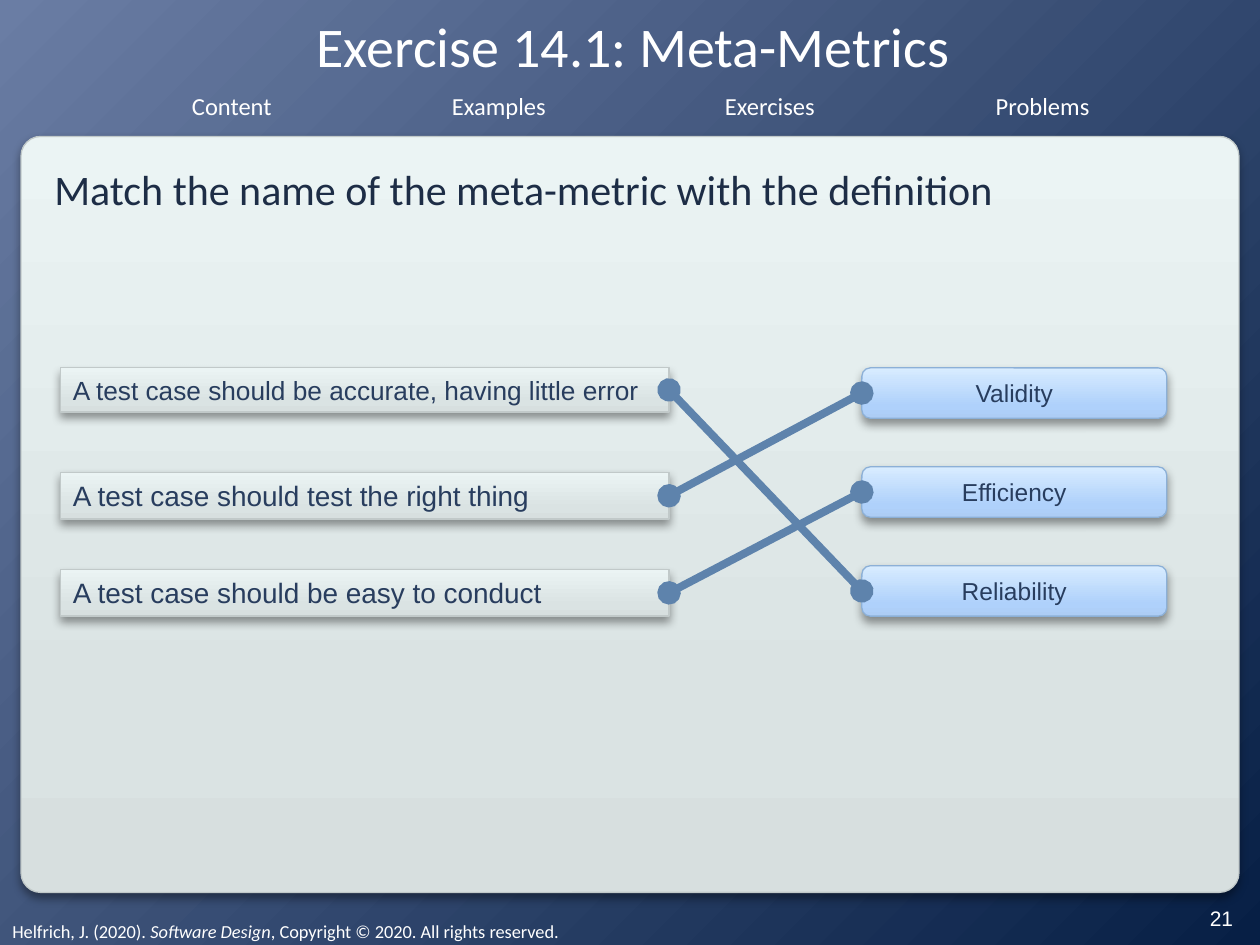
from dataclasses import dataclass
from typing import Any

from pptx import Presentation
from pptx.dml.color import RGBColor as Rgb
from pptx.enum.shapes import MSO_CONNECTOR as Link, MSO_SHAPE as Form
from pptx.enum.text import MSO_ANCHOR as Anchor, PP_ALIGN as Align
from pptx.oxml import parse_xml
from pptx.oxml.ns import nsdecls, qn
from pptx.util import Inches, Pt

Stops = tuple[tuple[int, str], ...]


@dataclass(frozen=True)
class Font:
    face: str
    size: float
    color: str


@dataclass(frozen=True)
class Skin:
    stops: Stops
    edge: str


@dataclass(frozen=True)
class Theme:
    back: Stops = ((0, "6A7DA4"), (100, "071F45"))
    gray: Skin = Skin(((0, "D7DFDF"), (25, "DAE3E3"), (100, "EBF4F4")), "C1C9C9")
    blue: Skin = Skin(((0, "ADCDF5"), (25, "AFD1FB"), (100, "D8ECFF")), "8CB0D7")
    link: str = "5E83AC"
    title: Font = Font("Calibri", 32, "FFFFFF")
    body: Font = Font("Calibri", 24, "1D2D46")
    menu: Font = Font("Calibri", 14, "FFFFFF")
    foot: Font = Font("Calibri", 10.5, "FFFFFF")
    page: Font = Font("Arial", 12, "FFFFFF")
    small: Font = Font("Arial", 15, "283D5E")
    large: Font = Font("Arial", 16, "283D5E")
    name: Font = Font("Arial", 14, "283D5E")


@dataclass(frozen=True)
class Box:
    left: float
    top: float
    width: float
    height: float


@dataclass(frozen=True)
class Tab:
    text: str
    mid: float
    width: float


@dataclass(frozen=True)
class Clue:
    text: str
    top: float
    height: float
    font: Font
    match: str


theme = Theme()
tabs = (
    Tab("Content", 18.4, 8.4),
    Tab("Examples", 39.6, 9.6),
    Tab("Exercises", 61.1, 9.2),
    Tab("Problems", 82.75, 9.5),
)
names = ("Validity", "Efficiency", "Reliability")
clues = (
    Clue("A test case should be accurate, having little error", 38.93, 4.67, theme.small, "Reliability"),
    Clue("A test case should test the right thing", 50, 4.93, theme.large, "Validity"),
    Clue("A test case should be easy to conduct", 60.27, 4.93, theme.large, "Efficiency"),
)
name_top, name_step = 38.93, 10.47

deck = Presentation()
deck.slide_width, deck.slide_height = Inches(10), Inches(7.5)
slide = deck.slides.add_slide(deck.slide_layouts[6])
shapes = slide.shapes


def place(box: Box) -> tuple[int, int, int, int]:
    wide, high = deck.slide_width / 100, deck.slide_height / 100
    return (round(box.left * wide), round(box.top * high),
            round(box.width * wide), round(box.height * high))


def blend(root: Any, stops: Stops, flow: str) -> None:
    marks = "".join(
        f'<a:gs pos="{pos * 1000}"><a:srgbClr val="{color}"/></a:gs>' for pos, color in stops)
    old = root.find(".//" + qn("a:gradFill"))
    new = parse_xml(f'<a:gradFill {nsdecls("a")} rotWithShape="1">'
                    f'<a:gsLst>{marks}</a:gsLst>{flow}</a:gradFill>')
    old.getparent().replace(old, new)


def write(shape: Any, parts: tuple[str, ...], font: Font, align: Align = Align.LEFT,
          anchor: Anchor = Anchor.TOP, inset: bool = True) -> None:
    frame = shape.text_frame
    frame.word_wrap = True
    frame.vertical_anchor = anchor
    frame.margin_left = frame.margin_right = Inches(0.1 if inset else 0)
    frame.margin_top = frame.margin_bottom = Inches(0.05 if inset else 0)
    line = frame.paragraphs[0]
    line.alignment = align
    line.font.name, line.font.size = font.face, Pt(font.size)
    line.font.color.rgb = Rgb.from_string(font.color)
    for spot, part in enumerate(parts):
        run = line.add_run()
        run.text = part
        if spot % 2:
            run.font.italic = True


def label(box: Box, *parts: str, font: Font, **style: Any) -> None:
    write(shapes.add_textbox(*place(box)), parts, font, **style)


def card(form: Form, box: Box, skin: Skin, curve: float = 0) -> Any:
    shape = shapes.add_shape(form, *place(box))
    if curve:
        shape.adjustments[0] = curve
    shape.fill.gradient()
    blend(shape.element, skin.stops, '<a:lin ang="16200000" scaled="0"/>')
    shape.line.color.rgb = Rgb.from_string(skin.edge)
    shape.line.width = Pt(0.75)
    shape.shadow.inherit = False
    shape.element.spPr.find(qn("a:effectLst")).append(parse_xml(
        f'<a:outerShdw {nsdecls("a")} blurRad="{Pt(5.2)}" dist="{Pt(3)}" dir="5400000" '
        'rotWithShape="0"><a:srgbClr val="000000"><a:alpha val="40000"/></a:srgbClr></a:outerShdw>'))
    return shape


def join(start: Any, end: Any) -> None:
    line = shapes.add_connector(Link.STRAIGHT, 0, 0, 0, 0)
    line.begin_connect(start, 3)
    line.end_connect(end, 1)
    line.line.color.rgb = Rgb.from_string(theme.link)
    line.line.width = Pt(4.5)
    props = line.element.spPr
    for tag in ("headEnd", "tailEnd"):
        props.find(qn("a:ln")).append(parse_xml(f'<a:{tag} {nsdecls("a")} type="oval"/>'))
    props.append(parse_xml(f'<a:effectLst {nsdecls("a")}/>'))


slide.background.fill.gradient()
blend(slide.element, theme.back,
      '<a:path path="circle"><a:fillToRect r="100000" b="100000"/></a:path>')

card(Form.ROUNDED_RECTANGLE, Box(1.67, 14.44, 96.67, 80), theme.gray, 0.026)
label(Box(0, 96.67, 90, 3.87), "Helfrich, J. (2020). ", "Software Design",
      ", Copyright © 2020. All rights reserved.", font=theme.foot)
for tab in tabs:
    label(Box(tab.mid - tab.width / 2, 8.93, tab.width, 4.53), tab.text,
          font=theme.menu, align=Align.CENTER)
label(Box(2.2, 1.47, 96.1, 6.67), "Exercise 14.1: Meta-Metrics", font=theme.title,
      align=Align.CENTER, anchor=Anchor.MIDDLE, inset=False)
label(Box(3.33, 16.67, 93.33, 7.73), "Match the name of the meta-metric with the definition",
      font=theme.body)
label(Box(93.6, 94.4, 6.7, 5.6), "21", font=theme.page,
      align=Align.CENTER, anchor=Anchor.MIDDLE)

goals = {}
for row, name in enumerate(names):
    goals[name] = card(Form.ROUNDED_RECTANGLE,
                       Box(68.4, name_top + row * name_step, 24.2, 5.33), theme.blue, 0.167)
    write(goals[name], (name,), theme.name, Align.CENTER, Anchor.MIDDLE)
for clue in clues:
    shape = card(Form.RECTANGLE, Box(4.8, clue.top, 48.3, clue.height), theme.gray)
    write(shape, (clue.text,), clue.font)
    join(shape, goals[clue.match])

deck.save("out.pptx")
